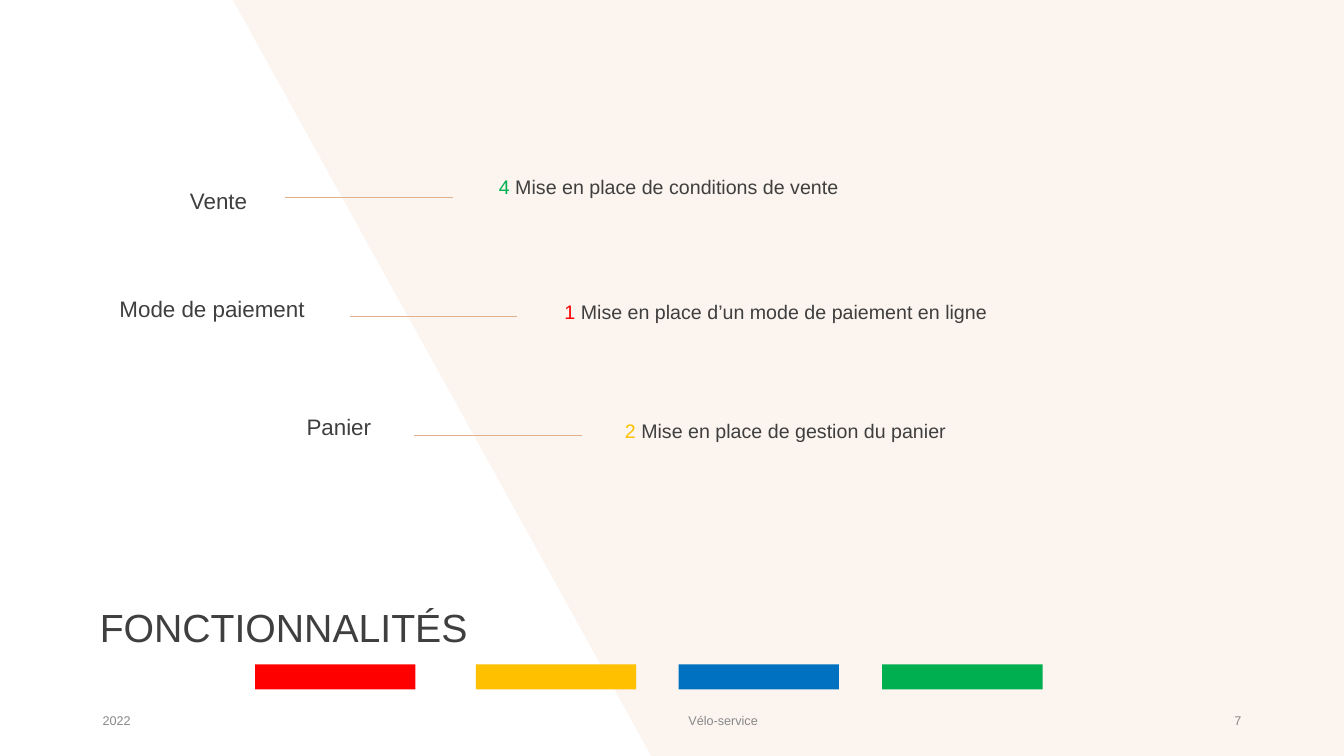
from lxml.etree import SubElement
from pptx import Presentation
from pptx.dml.color import RGBColor
from pptx.enum.shapes import MSO_CONNECTOR, MSO_SHAPE
from pptx.enum.text import MSO_ANCHOR, MSO_AUTO_SIZE, PP_ALIGN
from pptx.oxml.ns import qn
from pptx.util import Pt

EMU_PER_PX = 9144
WIDTH, HEIGHT = 1333, 750
COLOURS = {
    "cream": "FBF4EF",
    "copper": "E2B08C",
    "ink": "3F3F3F",
    "grey": "888888",
    "red": "FF0000",
    "amber": "FFC000",
    "blue": "0070C0",
    "green": "00B050",
}


def px(length):
    return length * EMU_PER_PX


def rgb(name):
    return RGBColor.from_string(COLOURS[name])


class SlideBuilder:
    font_name = "Arial"

    def __init__(self, slide):
        self.slide = slide
        self.shapes = slide.shapes

    def paint(self, shape, colour):
        shape.shadow.inherit = False
        shape.fill.solid()
        shape.fill.fore_color.rgb = rgb(colour)
        shape.line.fill.background()

    def panel(self, corners, colour):
        start_x, start_y = corners[0]
        outline = self.shapes.build_freeform(px(start_x), px(start_y))
        outline.add_line_segments([(px(x), px(y)) for x, y in corners[1:]], close=True)
        self.paint(outline.convert_to_shape(), colour)

    def bar(self, left, top, width, height, colour):
        box = map(px, (left, top, width, height))
        self.paint(self.shapes.add_shape(MSO_SHAPE.RECTANGLE, *box), colour)

    def rule(self, left, top, width):
        ends = map(px, (left, top, left + width, top))
        line = self.shapes.add_connector(MSO_CONNECTOR.STRAIGHT, *ends)
        line.line.color.rgb = rgb("copper")
        line.line.width = Pt(0.75)
        SubElement(line._element.spPr, qn("a:effectLst"))

    def fill_text(self, shape, runs, size, align, anchor, spacing):
        frame = shape.text_frame
        frame.word_wrap = True
        frame.auto_size = MSO_AUTO_SIZE.NONE
        frame.vertical_anchor = anchor
        paragraph = frame.paragraphs[0]
        paragraph.alignment = align
        paragraph.line_spacing = spacing
        paragraph.font.name = self.font_name
        paragraph.font.size = Pt(size)
        for words, colour in runs:
            run = paragraph.add_run()
            run.text = words
            run.font.color.rgb = rgb(colour)

    def title(self, words, left, top, width, height):
        heading = self.shapes.title
        heading.left, heading.top = px(left), px(top)
        heading.width, heading.height = px(width), px(height)
        self.fill_text(heading, [(words, "ink")], 28, PP_ALIGN.LEFT, MSO_ANCHOR.MIDDLE, 0.9)

    def text(self, runs, left, top, width, height, size,
             align=PP_ALIGN.LEFT, anchor=MSO_ANCHOR.MIDDLE, spacing=1.0):
        box = self.shapes.add_textbox(*map(px, (left, top, width, height)))
        self.fill_text(box, runs, size, align, anchor, spacing)


def main():
    deck = Presentation()
    deck.slide_width, deck.slide_height = px(WIDTH), px(HEIGHT)
    page = SlideBuilder(deck.slides.add_slide(deck.slide_layouts[5]))

    page.panel([(646, HEIGHT), (231, 0), (WIDTH, 0), (WIDTH, HEIGHT)], "cream")
    page.title("FONCTIONNALITÉS", 89, 593, 446, 64)

    features = [
        ("Vente", 21, 173, "4", "green", "Mise en place de conditions de vente", 485, 169),
        ("Mode de paiement", 78, 280, "1", "red",
         "Mise en place d’un mode de paiement en ligne", 550, 293),
        ("Panier", 144, 397, "2", "amber", "Mise en place de gestion du panier", 610, 411),
    ]
    for row, feature in enumerate(features):
        label, label_left, label_top, rank, colour, detail, detail_left, detail_top = feature
        page.rule(283 + 64 * row, 196 + 118 * row, 166)
        page.text([(label, "ink")], label_left, label_top, 234, 56, 16,
                  align=PP_ALIGN.RIGHT, spacing=0.9)
        page.text([(rank, colour), (" " + detail, "ink")], detail_left, detail_top,
                  606, 88, 14, anchor=MSO_ANCHOR.TOP)

    footers = [
        ("2022", 92, 300, PP_ALIGN.LEFT),
        ("Vélo-service", 673, 198, PP_ALIGN.LEFT),
        ("7", 1182, 59, PP_ALIGN.RIGHT),
    ]
    for words, left, width, align in footers:
        page.text([(words, "grey")], left, 695, width, 40, 9, align=align)

    priorities = [("red", 253), ("amber", 472), ("blue", 673), ("green", 875)]
    for colour, left in priorities:
        page.bar(left, 659, 159, 25, colour)

    deck.save("out.pptx")


if __name__ == "__main__":
    main()
